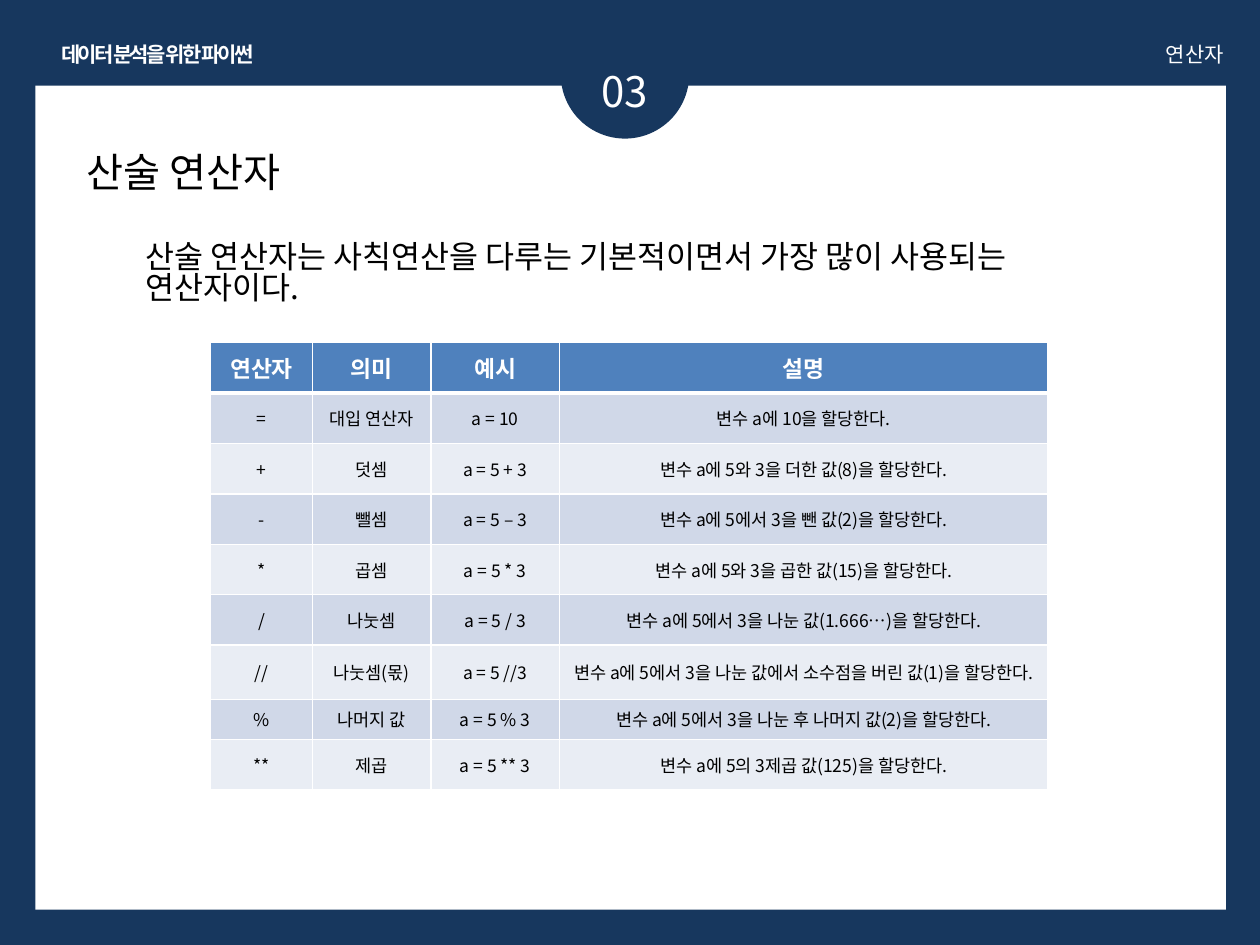
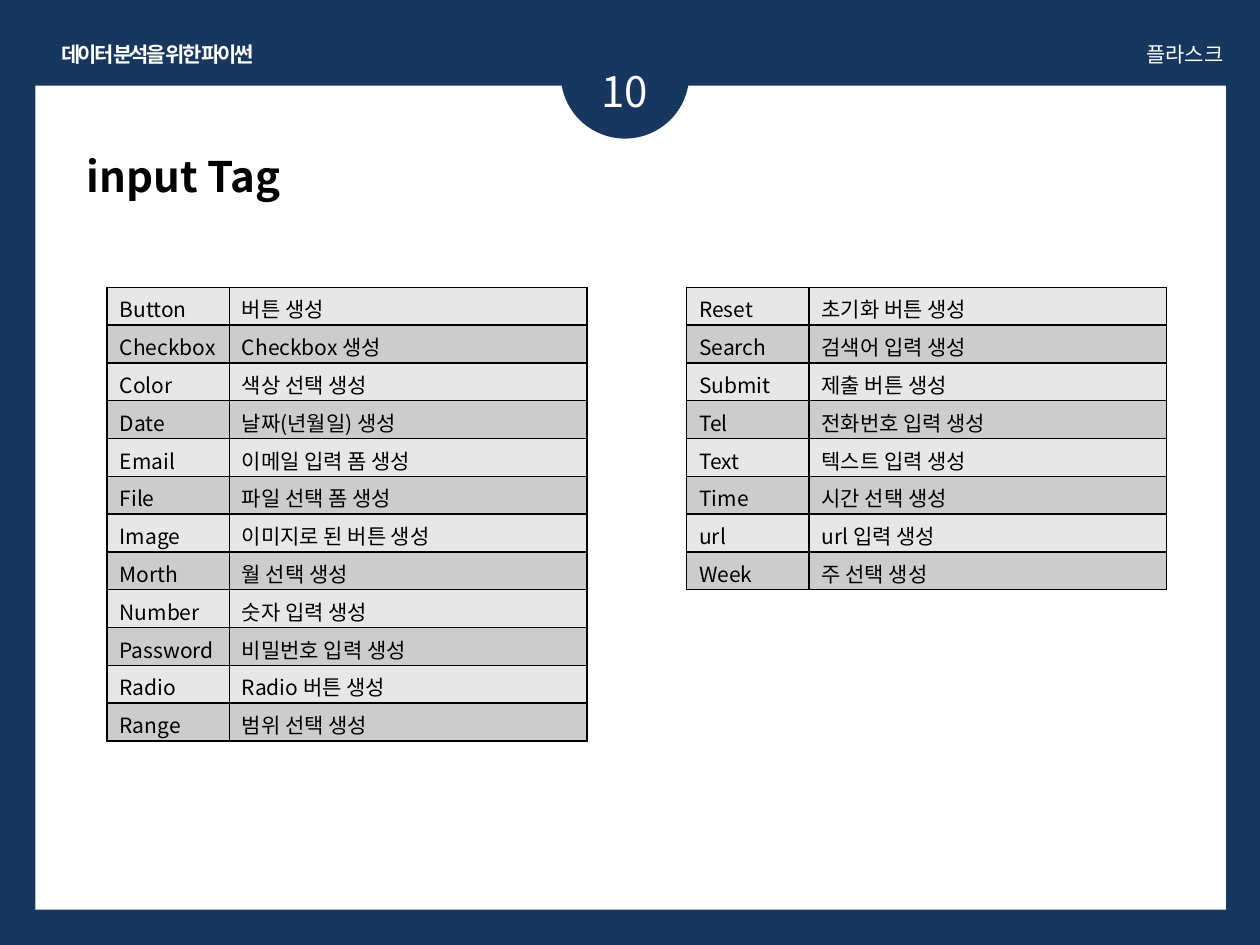
from lxml import etree
from pptx import Presentation
from pptx.dml.color import RGBColor
from pptx.enum.shapes import MSO_SHAPE
from pptx.enum.text import MSO_ANCHOR, PP_ALIGN
from pptx.oxml.ns import qn
from pptx.util import Inches, Pt

LEFT, CENTER, RIGHT = PP_ALIGN.LEFT, PP_ALIGN.CENTER, PP_ALIGN.RIGHT
TOP, MIDDLE = MSO_ANCHOR.TOP, MSO_ANCHOR.MIDDLE
RECT, OVAL = MSO_SHAPE.RECTANGLE, MSO_SHAPE.OVAL


class Theme:
    font = "Noto Sans CJK KR"
    navy, white, black = "17375E", "FFFFFF", "000000"
    head_fill = "4F81BD"
    blue_bands = ("D0D8E8", "E9EDF4")
    gray_bands = ("E7E7E7", "CCCCCC")
    number, title, body, label, head, cell = 24, 23, 18, 12, 13, 10


def write(tf, text, size, color, align=LEFT, bold=False, spacing=None, tracking=None):
    """Fill a text frame with one formatted paragraph."""
    tf.text = text
    p = tf.paragraphs[0]
    p.alignment = align
    if spacing:
        p.line_spacing = spacing
    font = p.runs[0].font
    font.name, font.size, font.bold = Theme.font, Pt(size), bold
    font.color.rgb = RGBColor.from_string(color)
    rPr = p.runs[0]._r.get_or_add_rPr()
    ea = etree.Element(qn("a:ea"), typeface=Theme.font)
    rPr.find(qn("a:latin")).addnext(ea)
    if tracking:
        rPr.set("spc", str(int(tracking * 100)))


def style_cell(cell, fill, line, margins, anchor=TOP, top=1, bottom=1):
    """Set the borders (points), fill, vertical margins and anchor of a cell."""
    tcPr = cell._tc.get_or_add_tcPr()
    for side, width in (("L", 1), ("R", 1), ("T", top), ("B", bottom)):
        ln = etree.SubElement(tcPr, qn(f"a:ln{side}"), w=str(Pt(width)))
        solid = etree.SubElement(ln, qn("a:solidFill"))
        etree.SubElement(solid, qn("a:srgbClr"), val=line)
    cell.fill.solid()
    cell.fill.fore_color.rgb = RGBColor.from_string(fill)
    cell.margin_top, cell.margin_bottom = [Inches(m) for m in margins]
    cell.vertical_anchor = anchor


operators = [
    ("연산자", "의미", "예시", "설명"),
    ("=", "대입 연산자", "a = 10", "변수 a에 10을 할당한다."),
    ("+", "덧셈", "a = 5 + 3", "변수 a에 5와 3을 더한 값(8)을 할당한다."),
    ("-", "뺄셈", "a = 5 – 3", "변수 a에 5에서 3을 뺀 값(2)을 할당한다."),
    ("*", "곱셈", "a = 5 * 3", "변수 a에 5와 3을 곱한 값(15)을 할당한다."),
    ("/", "나눗셈", "a = 5 / 3", "변수 a에 5에서 3을 나눈 값(1.666…)을 할당한다."),
    ("//", "나눗셈(몫)", "a = 5 //3",
     "변수 a에 5에서 3을 나눈 값에서 소수점을 버린 값(1)을 할당한다."),
    ("%", "나머지 값", "a = 5 % 3", "변수 a에 5에서 3을 나눈 후 나머지 값(2)을 할당한다."),
    ("**", "제곱", "a = 5 ** 3", "변수 a에 5의 3제곱 값(125)을 할당한다."),
]
input_types = [
    ("Button", "버튼 생성"), ("Checkbox", "Checkbox 생성"),
    ("Color", "색상 선택 생성"), ("Date", "날짜(년월일) 생성"),
    ("Email", "이메일 입력 폼 생성"), ("File", "파일 선택 폼 생성"),
    ("Image", "이미지로 된 버튼 생성"), ("Morth", "월 선택 생성"),
    ("Number", "숫자 입력 생성"), ("Password", "비밀번호 입력 생성"),
    ("Radio", "Radio 버튼 생성"), ("Range", "범위 선택 생성"),
    ("Reset", "초기화 버튼 생성"), ("Search", "검색어 입력 생성"),
    ("Submit", "제출 버튼 생성"), ("Tel", "전화번호 입력 생성"),
    ("Text", "텍스트 입력 생성"), ("Time", "시간 선택 생성"),
    ("url", "url 입력 생성"), ("Week", "주 선택 생성"),
]

prs = Presentation()
prs.slide_width, prs.slide_height = Inches(10), Inches(7.5)
background = prs.slide_master.background.fill
background.solid()
background.fore_color.rgb = RGBColor.from_string(Theme.navy)

# Frame, header and title of both slides
pages = [
    ("03", "연산자", "산술 연산자", 1.16, Theme.title, False),
    ("10", "플라스크", "input Tag", 1.19, Theme.number, True),
]
for number, chapter, title, title_top, title_size, title_bold in pages:
    s = prs.slides.add_slide(prs.slide_layouts[6])
    for kind, box, color in (
        (RECT, (0.28, 0.68, 9.45, 6.54), Theme.white),
        (OVAL, (4.45, 0.08, 1.02, 1.02), Theme.navy),
    ):
        sp = s.shapes.add_shape(kind, *[Inches(v) for v in box])
        sp.shadow.inherit = False
        sp.fill.solid()
        sp.fill.fore_color.rgb = RGBColor.from_string(color)
        sp.line.fill.background()

    texts = [
        ((0.28, 0.3, 1.94, 0.3), "데이터 분석을 위한 파이썬", Theme.label, Theme.white,
         CENTER, True, -1.5),
        ((4.37, 0.52, 1.18, 0.5), number, Theme.number, Theme.white, CENTER, False, None),
        ((5.87, 0.3, 3.94, 0.3), chapter, Theme.label, Theme.white, RIGHT, False, None),
        ((0.59, title_top, 8.74, 0.5), title, title_size, Theme.black,
         LEFT, title_bold, None),
    ]
    for box, text, size, color, align, bold, tracking in texts:
        tf = s.shapes.add_textbox(*[Inches(v) for v in box]).text_frame
        tf.word_wrap = tracking is None
        write(tf, text, size, color, align, bold, 0.9, tracking)

operator_slide, input_slide = prs.slides

# Operators: introduction
tf = operator_slide.shapes.add_textbox(
    Inches(1.06), Inches(1.89), Inches(7.87), Inches(0.71)).text_frame
tf.word_wrap = True
write(tf, "산술 연산자는 사칙연산을 다루는 기본적이면서 가장 많이 사용되는 연산자이다.",
      Theme.body, Theme.black, spacing=0.81)

# Operators: table
widths = (0.81, 0.94, 1.02, 3.88)
heights = [0.4] * 6 + [0.43, 0.32, 0.4]
table = operator_slide.shapes.add_table(
    len(operators), len(widths), Inches(1.67), Inches(2.72),
    Inches(sum(widths)), Inches(sum(heights))).table
table.first_row = table.horz_banding = False
for column, width in zip(table.columns, widths):
    column.width = Inches(width)
for i, values in enumerate(operators):
    table.rows[i].height = Inches(heights[i])
    is_head = i == 0
    fill = Theme.head_fill if is_head else Theme.blue_bands[(i - 1) % 2]
    for j, value in enumerate(values):
        cell = table.cell(i, j)
        style_cell(cell, fill, Theme.white, (0.01, 0.01), MIDDLE,
                   top=3 if i == 1 else 1, bottom=3 if is_head else 1)
        write(cell.text_frame, value, Theme.head if is_head else Theme.cell,
              Theme.white if is_head else Theme.black, CENTER, is_head)

# Input types: two tables side by side
widths = (0.97, 2.84)
row_height = 0.3
for left, rows in ((0.85, input_types[:12]), (5.45, input_types[12:])):
    table = input_slide.shapes.add_table(
        len(rows), len(widths), Inches(left), Inches(2.28),
        Inches(sum(widths)), Inches(row_height * len(rows))).table
    table.first_row = table.horz_banding = False
    for column, width in zip(table.columns, widths):
        column.width = Inches(width)
    for i, values in enumerate(rows):
        table.rows[i].height = Inches(row_height)
        for j, value in enumerate(values):
            cell = table.cell(i, j)
            style_cell(cell, Theme.gray_bands[i % 2], Theme.black, (0.05, 0))
            write(cell.text_frame, value, Theme.label, Theme.black)

prs.save("out.pptx")
